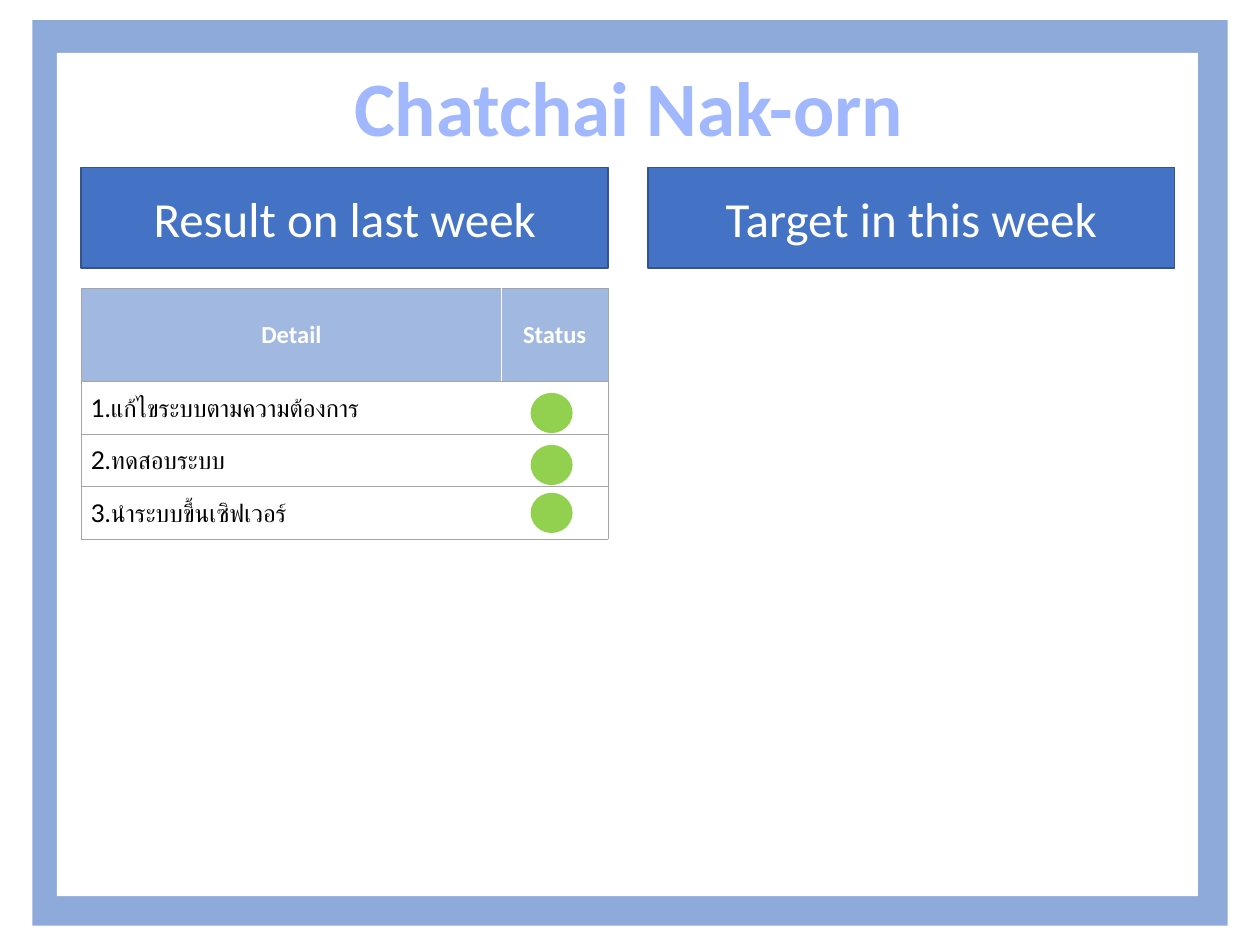
import pptx
import pptx.util
import pptx.oxml
import pptx.oxml.ns
import pptx.dml.color
import pptx.enum.shapes
import pptx.enum.text

Pt = pptx.util.Pt
RGB = pptx.dml.color.RGBColor.from_string
SHAPE = pptx.enum.shapes.MSO_SHAPE
CENTER = pptx.enum.text.PP_ALIGN.CENTER
LEFT = pptx.enum.text.PP_ALIGN.LEFT
MIDDLE = pptx.enum.text.MSO_ANCHOR.MIDDLE
NS = pptx.oxml.ns.nsdecls("a")
COLORS = {"blue": "4472C4", "edge": "325491", "white": "FFFFFF", "black": "000000",
          "grid": "A5A5A5", "green": "92D050", "outline": "3A6ABF",
          "pale": "BBCBFE", "light": "A1B8FF", "navy": "002F83"}


def paint(fill, color, alpha=100):
    fill.solid()
    fill.fore_color.rgb = RGB(COLORS[color])
    if alpha < 100:
        clr = fill._xPr.find(".//" + pptx.oxml.ns.qn("a:srgbClr"))
        clr.append(pptx.oxml.parse_xml(f'<a:alpha {NS} val="{alpha * 1000}"/>'))


def write(tf, text, color, align=CENTER, **fmt):
    p = tf.paragraphs[0]
    p.alignment = align
    r = p.add_run()
    r.text = text
    for name, value in fmt.items():
        setattr(r.font, name, value)
    r.font.color.rgb = RGB(COLORS[color])
    return r


prs = pptx.Presentation()
prs.slide_width, prs.slide_height = Pt(720), Pt(540)
s = prs.slides.add_slide(prs.slide_layouts[5])

col_left, col_width = 46.5, 301
shapes = [
    (SHAPE.RECTANGLE, 18.5, 11.5, 683, 517.5, "blue", 60, None, ""),
    (SHAPE.RECTANGLE, 32.5, 30.2, 652, 482, "white", 100, None, ""),
    (SHAPE.RECTANGLE, col_left, 95.8, col_width, 57.5, "blue", 100, "edge", "Result on last week"),
    (SHAPE.RECTANGLE, 370.2, 95.8, col_width, 57.5, "blue", 100, "edge", "Target in this week"),
]
status_dots = [(SHAPE.OVAL, 303.2, top, 24, 23, "green", 100, None, "")
               for top in (224.5, 254.2, 281.6)]

rows = [("Detail", "Status"), ("1.แก้ไขระบบตามความต้องการ", ""),
        ("2.ทดสอบระบบ", ""), ("3.นำระบบขึ้นเซิฟเวอร์", "")]
heights = [53, 30, 30, 30]
frame = s.shapes.add_table(len(rows), 2, Pt(col_left), Pt(165), Pt(col_width), Pt(sum(heights)))
table = frame.table
table.horz_banding = False
for col, width in zip(table.columns, (240, 61)):
    col.width = Pt(width)
for i, (row, height) in enumerate(zip(rows, heights)):
    table.rows[i].height = Pt(height)
    for j, text in enumerate(row):
        cell = table.cell(i, j)
        cell.vertical_anchor = MIDDLE
        cell.margin_left = cell.margin_right = Pt(5.4)
        cell.margin_top = cell.margin_bottom = Pt(3.6)
        if i == 0:
            paint(cell.fill, "blue", 50)
            write(cell.text_frame, text, "white", size=Pt(14), name="Calibri", bold=True)
        else:
            cell.fill.background()
            if text:
                write(cell.text_frame, text, "black", LEFT, size=Pt(14), name="Lato", bold=False)
        tcPr = cell._tc.get_or_add_tcPr()
        for k, side in enumerate(("R" if j else "L", "T", "B")):
            tcPr.insert(k, pptx.oxml.parse_xml(
                f'<a:ln{side} {NS} w="6350"><a:solidFill><a:srgbClr val="{COLORS["grid"]}"/>'
                f'</a:solidFill></a:ln{side}>'))

for kind, x, y, w, h, color, alpha, line, text in shapes + status_dots:
    sp = s.shapes.add_shape(kind, Pt(x), Pt(y), Pt(w), Pt(h))
    sp.shadow.inherit = False
    paint(sp.fill, color, alpha)
    if line:
        sp.line.color.rgb = RGB(COLORS[line])
        sp.line.width = Pt(1)
    else:
        sp.line.fill.background()
    if text:
        sp.text_frame.vertical_anchor = MIDDLE
        write(sp.text_frame, text, "white", size=Pt(28), name="Calibri")
    if kind == SHAPE.RECTANGLE:
        frame._element.addprevious(sp._element)

title = s.shapes.title
title.left, title.top, title.width, title.height = Pt(193), Pt(30.2), Pt(333), Pt(60.5)
tf = title.text_frame
tf.word_wrap = False
tf.auto_size = pptx.enum.text.MSO_AUTO_SIZE.SHAPE_TO_FIT_TEXT
tf.vertical_anchor = pptx.enum.text.MSO_ANCHOR.TOP
r = write(tf, "Chatchai Nak-orn", "light", size=Pt(44), name="Calibri", bold=True)
stops = [(0, "pale"), (9, "light"), (50, "navy"), (79, "light"), (100, "pale")]
gs = "".join(f'<a:gs pos="{pos * 1000}"><a:srgbClr val="{COLORS[c]}"/></a:gs>' for pos, c in stops)
rPr = r._r.get_or_add_rPr()
rPr.remove(rPr.find(pptx.oxml.ns.qn("a:solidFill")))
rPr.insert(0, pptx.oxml.parse_xml(
    f'<a:ln {NS} w="10541"><a:solidFill><a:srgbClr val="{COLORS["outline"]}"/></a:solidFill></a:ln>'))
rPr.insert(1, pptx.oxml.parse_xml(
    f'<a:gradFill {NS}><a:gsLst>{gs}</a:gsLst><a:lin ang="5400000" scaled="0"/></a:gradFill>'))
s.shapes._spTree.append(title._element)

prs.save("out.pptx")
